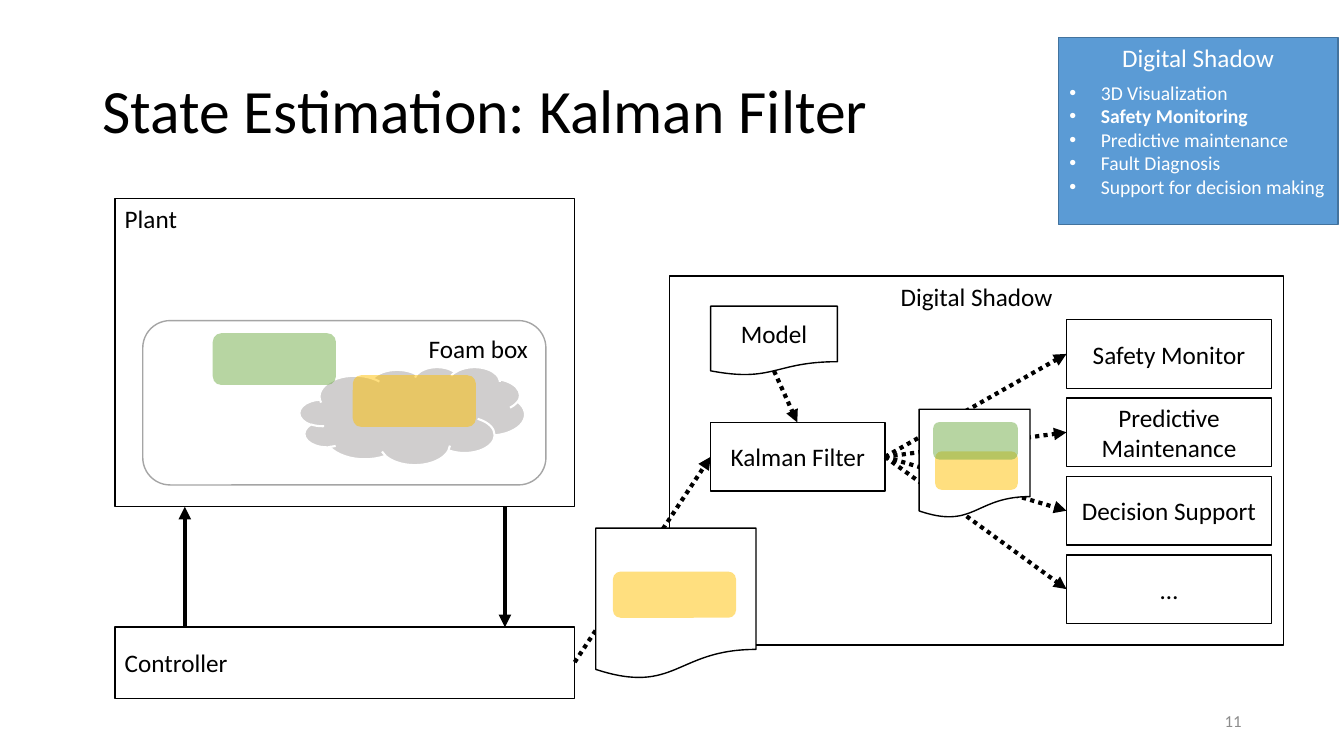
from lxml import etree
from pptx import Presentation
from pptx.dml.color import RGBColor
from pptx.enum.dml import MSO_LINE
from pptx.enum.shapes import MSO_CONNECTOR, MSO_SHAPE
from pptx.enum.text import MSO_ANCHOR, PP_ALIGN
from pptx.oxml.ns import qn
from pptx.util import Pt

BLACK, WHITE = "000000", "FFFFFF"
GREEN, YELLOW = "70AD47", "FFC000"
LEFT, CENTER, RIGHT = PP_ALIGN.LEFT, PP_ALIGN.CENTER, PP_ALIGN.RIGHT
TOP, MIDDLE = MSO_ANCHOR.TOP, MSO_ANCHOR.MIDDLE
RECTANGLE, ROUNDED = MSO_SHAPE.RECTANGLE, MSO_SHAPE.ROUNDED_RECTANGLE
DOCUMENT = MSO_SHAPE.FLOWCHART_DOCUMENT


def color(hex_string):
    return RGBColor.from_string(hex_string)


def add_bullet(paragraph, indent):
    properties = paragraph._p.get_or_add_pPr()
    properties.set("marL", str(Pt(indent)))
    properties.set("indent", str(-Pt(indent)))
    etree.SubElement(properties, qn("a:buFont")).set("typeface", "Arial")
    etree.SubElement(properties, qn("a:buChar")).set("char", "•")


def write_text(shape, lines, size=18, font_color=BLACK, align=LEFT, anchor=TOP,
               spacing=None, bullet_indent=None, bold_line=None):
    frame = shape.text_frame
    frame.word_wrap = True
    frame.vertical_anchor = anchor
    frame.text = "\n".join(lines)
    for line, paragraph in zip(lines, frame.paragraphs):
        paragraph.alignment = align
        if spacing:
            paragraph.line_spacing = spacing
        if bullet_indent:
            add_bullet(paragraph, bullet_indent)
        font = paragraph.font
        font.name, font.size, font.bold = "Calibri", Pt(size), line == bold_line
        font.color.rgb = color(font_color)


def add_text(slide, box, lines, **text_format):
    write_text(slide.shapes.add_textbox(*map(Pt, box)), lines, **text_format)


def add_box(slide, kind, box, text=None, fill=WHITE, line=BLACK, line_width=1,
            **text_format):
    shape = slide.shapes.add_shape(kind, *map(Pt, box))
    shape.shadow.inherit = False
    if fill:
        shape.fill.solid()
        shape.fill.fore_color.rgb = color(fill)
    else:
        shape.fill.background()
    if line:
        shape.line.color.rgb = color(line)
        shape.line.width = Pt(line_width)
    else:
        shape.line.fill.background()
    if text:
        write_text(shape, [text], **text_format)
    return shape


def add_block(slide, box, fill):
    """Half-transparent rounded block without an outline."""
    shape = add_box(slide, ROUNDED, box, fill=fill, line=None)
    fill_color = shape._element.spPr.find(qn("a:solidFill"))[0]
    etree.SubElement(fill_color, qn("a:alpha")).set("val", "50000")


def add_arrow(slide, start, end, dotted=True):
    arrow = slide.shapes.add_connector(MSO_CONNECTOR.STRAIGHT, *map(Pt, start + end))
    arrow.line.color.rgb = color(BLACK)
    arrow.line.width = Pt(3)
    if dotted:
        arrow.line.dash_style = MSO_LINE.ROUND_DOT
    etree.SubElement(arrow.line._get_or_add_ln(), qn("a:tailEnd")).set("type", "triangle")
    etree.SubElement(arrow._element.spPr, qn("a:effectLst"))


def add_plant(slide):
    # Plant and controller with their feedback loop
    add_box(slide, RECTANGLE, (82, 142, 328.5, 220), "Plant", fill=None)
    add_box(slide, RECTANGLE, (82, 448, 328.5, 51), "Controller", anchor=MIDDLE)
    add_arrow(slide, (132, 448), (132, 362), dotted=False)
    add_arrow(slide, (360.7, 362), (360.7, 448), dotted=False)

    # Foam box with a cloud
    add_box(slide, ROUNDED, (102, 229, 288, 117.4), "Foam box", fill=None,
            line="A5A5A5", align=RIGHT)
    add_box(slide, MSO_SHAPE.CLOUD, (214, 262, 161, 70), fill="D0CECE",
            line=WHITE, line_width=1.5)
    add_block(slide, (252, 268, 88, 37), YELLOW)
    add_block(slide, (152, 238, 88, 37), GREEN)


def add_shadow_system(slide):
    label = {"align": CENTER, "anchor": MIDDLE}
    filter_output = (632.2, 326.3)

    # Kalman filter fed by the controller data
    add_box(slide, RECTANGLE, (507.6, 301.7, 124.6, 49), "Kalman Filter", **label)
    add_arrow(slide, (410.5, 473), (507.6, 326.3))
    add_box(slide, DOCUMENT, (425.5, 377.3, 114.5, 108))
    add_block(slide, (437.8, 408.3, 88, 33), YELLOW)

    # Consumers of the estimate
    consumers = ["Safety Monitor", "Predictive Maintenance", "Decision Support", "…"]
    for index, name in enumerate(consumers):
        top = 228.3 + 56 * index
        add_arrow(slide, filter_output, (761.8, top + 24.5))
        add_box(slide, RECTANGLE, (761.8, top, 146.5, 49), name, **label)

    # Estimated state
    add_box(slide, DOCUMENT, (656.6, 292.3, 79.2, 77.8))
    add_block(slide, (668, 322.4, 59, 27.5), YELLOW)
    add_block(slide, (666.6, 301.5, 60.5, 26.8), GREEN)

    # Model
    add_box(slide, DOCUMENT, (507.6, 218.7, 90.6, 49.5), "Model", **label)
    add_arrow(slide, (552.9, 265), (569.5, 301.7))


def add_purpose_box(slide):
    add_box(slide, RECTANGLE, (756, 27, 199.7, 133.5), "Digital Shadow", fill="5B9BD5",
            line="43739E", font_color=WHITE, align=CENTER)
    purposes = ["3D Visualization", "Safety Monitoring", "Predictive maintenance",
                "Fault Diagnosis", "Support for decision making"]
    add_text(slide, (756.7, 54, 201, 92), purposes, size=14, font_color=WHITE,
             bullet_indent=22.5, bold_line="Safety Monitoring")


def main():
    presentation = Presentation()
    presentation.slide_width, presentation.slide_height = Pt(960), Pt(540)
    slide = presentation.slides.add_slide(presentation.slide_layouts[6])

    add_text(slide, (66, 28.8, 828, 104.4), ["State Estimation: Kalman Filter"],
             size=44, anchor=MIDDLE, spacing=0.9)
    # Frame of the digital shadow lies behind the rest
    add_box(slide, RECTANGLE, (478.3, 197.2, 438.5, 263.5), "Digital Shadow", align=CENTER)
    add_plant(slide)
    add_shadow_system(slide)
    add_purpose_box(slide)
    # Slide number
    add_text(slide, (678, 500.5, 216, 28.8), ["11"], size=12, font_color="8C8C8C",
             align=RIGHT, anchor=MIDDLE)
    presentation.save("out.pptx")


if __name__ == "__main__":
    main()
